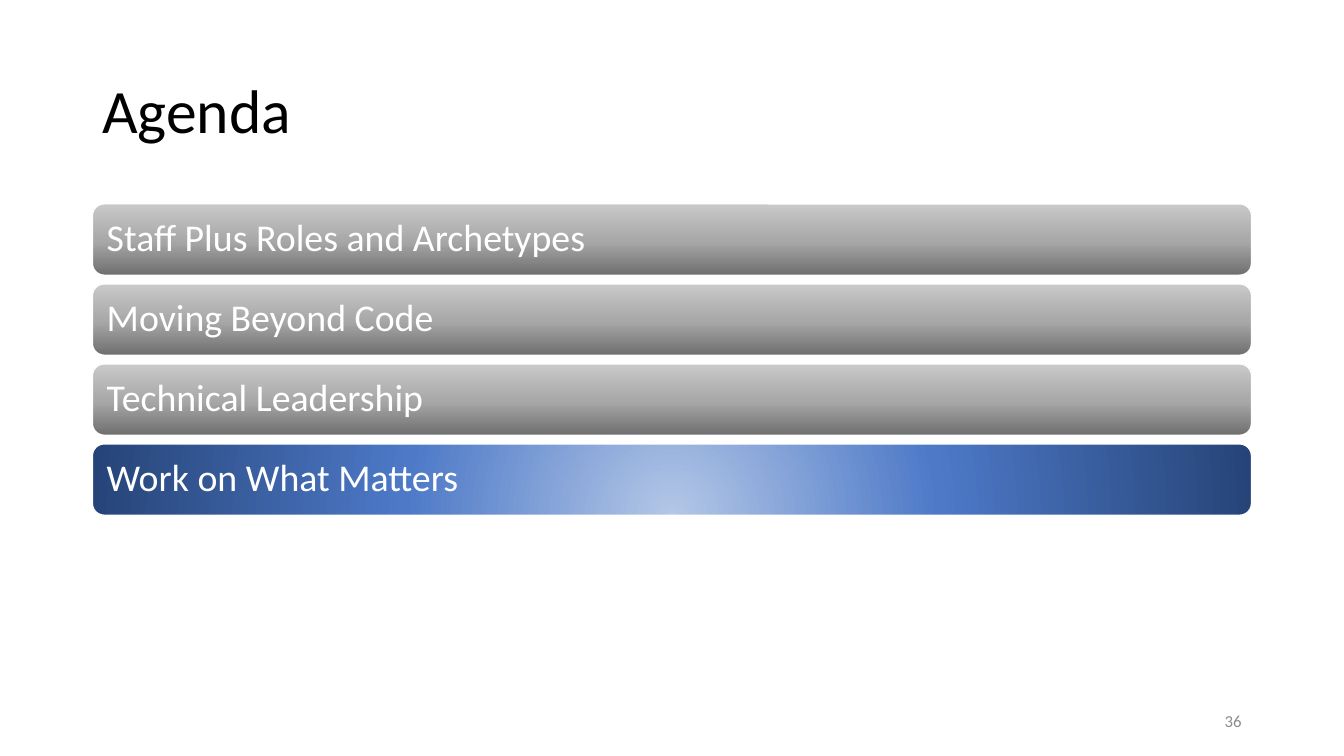
from lxml import etree
from pptx import Presentation
from pptx.dml.color import RGBColor
from pptx.enum.shapes import MSO_SHAPE as Shape
from pptx.enum.text import MSO_ANCHOR as Anchor, PP_ALIGN as Align
from pptx.oxml.ns import qn
from pptx.util import Pt

BLACK = RGBColor(0x00, 0x00, 0x00)
WHITE = RGBColor(0xFF, 0xFF, 0xFF)
GREY = RGBColor(0x8C, 0x8C, 0x8C)
SILVER = [(0, RGBColor(0x6F, 0x6F, 0x6F)), (48, RGBColor(0xA8, 0xA8, 0xA8)),
          (100, RGBColor(0xC9, 0xC9, 0xC9))]
BLUE = [(0, RGBColor(0xB4, 0xC7, 0xE7)), (46, RGBColor(0x4D, 0x79, 0xC7)),
        (100, RGBColor(0x26, 0x44, 0x78))]

LEFT, WIDTH = 66, 828
TOP, HEIGHT, PITCH = 145.6, 51, 57.15
TOPICS = ["Staff Plus Roles and Archetypes", "Moving Beyond Code",
          "Technical Leadership", "Work on What Matters"]
ACTIVE = "Work on What Matters"


def write(shape, text, size, color, align=Align.LEFT, spacing=0.9):
    frame = shape.text_frame
    frame.text = text
    frame.word_wrap = True
    frame.vertical_anchor = Anchor.MIDDLE
    para = frame.paragraphs[0]
    para.alignment = align
    para.line_spacing = spacing
    font = para.runs[0].font
    font.name, font.size, font.color.rgb = "Calibri", Pt(size), color


def shade(shape, stops, radial):
    shape.fill.solid()
    solid = shape.fill._xPr.find(qn("a:solidFill"))
    grad = etree.Element(qn("a:gradFill"), rotWithShape="1")
    group = etree.SubElement(grad, qn("a:gsLst"))
    for place, color in stops:
        stop = etree.SubElement(group, qn("a:gs"), pos=str(place * 1000))
        etree.SubElement(stop, qn("a:srgbClr"), val=str(color))
    if radial:
        focus = etree.SubElement(grad, qn("a:path"), path="circle")
        etree.SubElement(focus, qn("a:fillToRect"),
                         l="50000", t="130000", r="50000", b="-30000")
    else:
        etree.SubElement(grad, qn("a:lin"), ang="16200000", scaled="0")
    solid.getparent().replace(solid, grad)


deck = Presentation()
deck.slide_width, deck.slide_height = Pt(960), Pt(540)
slide = deck.slides.add_slide(deck.slide_layouts[6])

# Title
title = slide.shapes.add_textbox(Pt(LEFT), Pt(28.75), Pt(WIDTH), Pt(104.4))
write(title, "Agenda", 44, BLACK)

# Agenda bars, with the current topic in blue
for row, topic in enumerate(TOPICS):
    bar = slide.shapes.add_shape(Shape.ROUNDED_RECTANGLE, Pt(LEFT),
                                 Pt(TOP + row * PITCH), Pt(WIDTH), Pt(HEIGHT))
    bar.shadow.inherit = False
    active = topic == ACTIVE
    shade(bar, BLUE if active else SILVER, active)
    bar.line.color.rgb, bar.line.width = WHITE, Pt(1)
    write(bar, topic, 27, WHITE)
    # The rounded corner already insets the text by about 2.5 pt
    bar.text_frame.margin_left = bar.text_frame.margin_right = Pt(7.8)

# Slide number
number = slide.shapes.add_textbox(Pt(678), Pt(500.5), Pt(216), Pt(28.75))
write(number, "36", 12, GREY, Align.RIGHT, 1.0)

deck.save("out.pptx")
